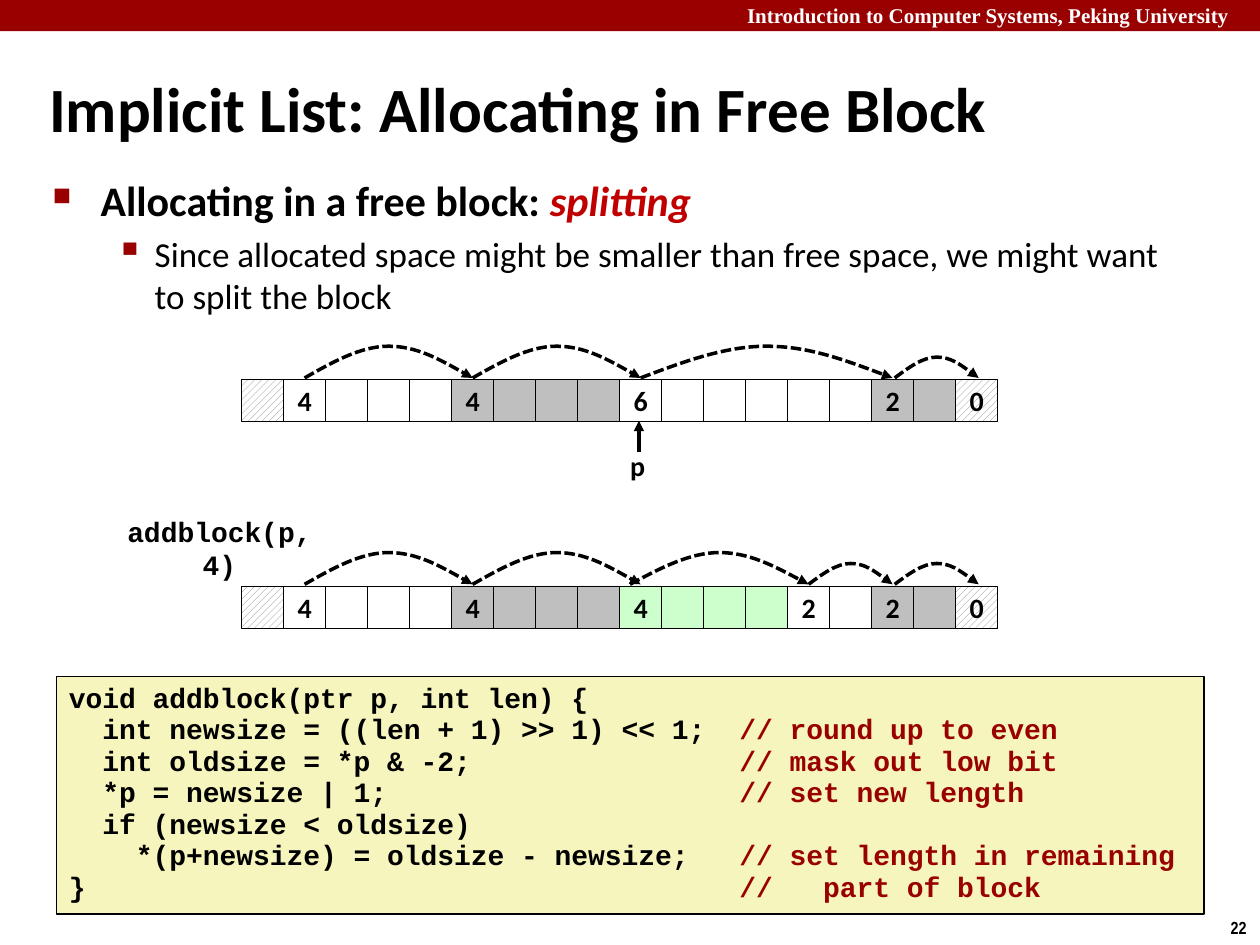
from dataclasses import dataclass

from lxml.etree import SubElement
from pptx import Presentation
from pptx.dml.color import RGBColor as Rgb
from pptx.enum.dml import MSO_LINE as Dash, MSO_PATTERN as Pattern
from pptx.enum.shapes import MSO_CONNECTOR as Connector, MSO_SHAPE as Preset
from pptx.enum.text import MSO_ANCHOR as Anchor, PP_ALIGN as Align
from pptx.oxml.ns import qn
from pptx.util import Cm, Pt


@dataclass(frozen=True)
class Theme:
    black: str = "000000"
    white: str = "FFFFFF"
    crimson: str = "990000"
    emphasis: str = "C00000"
    allocated: str = "BFBFBF"
    added: str = "CCFFCC"
    hatch: str = "808080"
    code_back: str = "F6F5BD"
    body: str = "Calibri"
    mono: str = "Courier New"
    header: str = "Times New Roman"
    number: str = "Arial Narrow"
    title_size: int = 36
    topic_size: int = 24
    detail_size: int = 20
    label_size: int = 16
    header_size: int = 12
    number_size: int = 10


@dataclass(frozen=True)
class Block:
    size: int
    fill: str
    label: str = ""
    hatched: bool = False


@dataclass(frozen=True)
class Hop:
    start: float
    end: float


@dataclass(frozen=True)
class Heap:
    top: float
    blocks: tuple[Block, ...]
    hops: tuple[Hop, ...]


THEME = Theme()
CELL = 2.54 / 3
HEAP_LEFT = 4.87
COMMENT_COLUMN = 40

PROLOGUE = Block(1, THEME.white, hatched=True)
EPILOGUE = Block(1, THEME.white, "0", hatched=True)
FREE_4 = Block(4, THEME.white, "4")
USED_4 = Block(4, THEME.allocated, "4")
USED_2 = Block(2, THEME.allocated, "2")
SHARED_HOPS = (Hop(1.5, 5.5), Hop(5.5, 9.5), Hop(15.55, 17.55))

HEAPS = (
    Heap(7.65,
         (PROLOGUE, FREE_4, USED_4, Block(6, THEME.white, "6"), USED_2, EPILOGUE),
         (*SHARED_HOPS, Hop(9.5, 15.5))),
    Heap(11.81,
         (PROLOGUE, FREE_4, USED_4, Block(4, THEME.added, "4"),
          Block(2, THEME.white, "2"), USED_2, EPILOGUE),
         (*SHARED_HOPS, Hop(9.25, 13.5), Hop(13.5, 15.5))),
)

CODE = (
    ("void addblock(ptr p, int len) {", ""),
    ("  int newsize = ((len + 1) >> 1) << 1;", "// round up to even"),
    ("  int oldsize = *p & -2;", "// mask out low bit"),
    ("  *p = newsize | 1;", "// set new length"),
    ("  if (newsize < oldsize)", ""),
    ("    *(p+newsize) = oldsize - newsize;", "// set length in remaining"),
    ("}", "//   part of block"),
)


def style(run, size: int, font: str = THEME.body, color: str = THEME.black,
          bold: bool = True, italic: bool = False) -> None:
    run.font.size, run.font.name = Pt(size), font
    run.font.bold, run.font.italic = bold, italic
    run.font.color.rgb = Rgb.from_string(color)


def add_rect(shapes, left: float, top: float, width: float, height: float,
             fill: str, border: float = 0):
    rect = shapes.add_shape(Preset.RECTANGLE, Cm(left), Cm(top), Cm(width), Cm(height))
    rect.shadow.inherit = False
    rect.fill.solid()
    rect.fill.fore_color.rgb = Rgb.from_string(fill)
    if border:
        rect.line.color.rgb = Rgb.from_string(THEME.black)
        rect.line.width = Pt(border)
    else:
        rect.line.fill.background()
    return rect


def add_label(shapes, text: str, left: float, top: float, width: float, height: float,
              size: int, font: str = THEME.body, color: str = THEME.black,
              align: Align = Align.LEFT, anchor: Anchor = Anchor.TOP) -> None:
    frame = shapes.add_textbox(Cm(left), Cm(top), Cm(width), Cm(height)).text_frame
    frame.text = text
    frame.word_wrap = align == Align.LEFT
    frame.vertical_anchor = anchor
    frame.paragraphs[0].alignment = align
    style(frame.paragraphs[0].runs[0], size, font, color)


def add_cell(shapes, index: int, top: float, block: Block, label: str) -> None:
    cell = add_rect(shapes, HEAP_LEFT + index * CELL, top, CELL, CELL, block.fill, 0.25)
    if block.hatched:
        cell.fill.patterned()
        cell.fill.pattern = Pattern.WIDE_UPWARD_DIAGONAL
        cell.fill.fore_color.rgb = Rgb.from_string(THEME.hatch)
        cell.fill.back_color.rgb = Rgb.from_string(block.fill)
    if label:
        frame = cell.text_frame
        frame.text = label
        frame.word_wrap = False
        frame.vertical_anchor = Anchor.MIDDLE
        frame.paragraphs[0].alignment = Align.CENTER
        style(frame.paragraphs[0].runs[0], THEME.label_size)


def point_arrow(stroke) -> None:
    stroke.line.color.rgb = Rgb.from_string(THEME.black)
    stroke.line.width = Pt(2)
    SubElement(stroke.element.xpath(".//a:ln")[0], qn("a:tailEnd"), type="triangle")


def add_hop(shapes, hop: Hop, base: float) -> None:
    span = (hop.end - hop.start) * CELL
    left = HEAP_LEFT + hop.start * CELL
    rise = 0.42 if hop.end - hop.start < 3 else 0.64
    controls = [(Cm(left + span * step / 6), Cm(base - rise * lift))
                for step, lift in enumerate((0, 0.5, 1, 1, 1, 0.5, 0))]
    builder = shapes.build_freeform(*controls[0])
    builder.add_line_segments(controls[1:], close=False)
    arc = builder.convert_to_shape()
    outline = arc.element.xpath(".//a:path")[0]
    segments = outline.findall(qn("a:lnTo"))
    for half in (segments[:3], segments[3:]):
        curve = SubElement(outline, qn("a:cubicBezTo"))
        for segment in half:
            curve.append(segment[0])
            outline.remove(segment)
    arc.shadow.inherit = False
    arc.fill.background()
    arc.line.dash_style = Dash.SQUARE_DOT
    point_arrow(arc)


def add_heap(shapes, heap: Heap) -> None:
    index = 0
    for block in heap.blocks:
        for offset in range(block.size):
            add_cell(shapes, index + offset, heap.top, block, "" if offset else block.label)
        index += block.size
    for hop in heap.hops:
        add_hop(shapes, hop, heap.top - 0.03)


def add_bullet(paragraph, mark: str, percent: int, margin: float, hanging: float) -> None:
    props = paragraph._p.get_or_add_pPr()
    props.set("marL", str(Cm(margin)))
    props.set("indent", str(-Cm(hanging)))
    SubElement(SubElement(props, qn("a:buClr")), qn("a:srgbClr"), val=THEME.crimson)
    SubElement(props, qn("a:buSzPct"), val=str(percent * 1000))
    SubElement(props, qn("a:buChar"), char=mark)


def add_points(shapes) -> None:
    frame = shapes.add_textbox(Cm(0.81), Cm(3.4), Cm(23.09), Cm(14.5)).text_frame
    frame.word_wrap = True
    topic, detail = frame.paragraphs[0], frame.add_paragraph()
    topic.text = "Allocating in a free block: "
    detail.text = ("Since allocated space might be smaller than free space, "
                   "we might want to split the block")
    detail.level = 1
    detail.space_before = Pt(4)
    add_bullet(topic, "■", 60, 0.97, 0.97)
    add_bullet(detail, "▪", 110, 2.06, 0.79)
    style(topic.runs[0], THEME.topic_size)
    term = topic.add_run()
    term.text = "splitting"
    style(term, THEME.topic_size, color=THEME.emphasis, italic=True)
    style(detail.runs[0], THEME.detail_size, bold=False)


def add_code(shapes) -> None:
    frame = add_rect(shapes, 1.14, 13.64, 23.14, 4.78, THEME.code_back, 1).text_frame
    frame.text = "\n".join(code.ljust(COMMENT_COLUMN) if note else code for code, note in CODE)
    frame.word_wrap = True
    frame.vertical_anchor = Anchor.TOP
    for paragraph, (_, note) in zip(frame.paragraphs, CODE):
        paragraph.alignment = Align.LEFT
        paragraph.line_spacing = 0.94
        style(paragraph.runs[0], THEME.label_size, THEME.mono)
        if note:
            comment = paragraph.add_run()
            comment.text = note
            style(comment, THEME.label_size, THEME.mono, THEME.crimson)


def add_pointer(shapes) -> None:
    pointer = shapes.add_connector(Connector.STRAIGHT, Cm(12.88), Cm(9.12), Cm(12.88), Cm(8.48))
    point_arrow(pointer)
    SubElement(pointer.element.spPr, qn("a:effectLst"))
    add_label(shapes, "p", 12.45, 8.92, 0.81, 0.94, THEME.label_size, align=Align.CENTER)


def main() -> None:
    """Build the slide on splitting a free block and save it."""
    deck = Presentation()
    deck.slide_width, deck.slide_height = Cm(25.4), Cm(19.05)
    shapes = deck.slides.add_slide(deck.slide_layouts[6]).shapes
    add_rect(shapes, 0, 0, 25.4, 0.63, THEME.crimson)
    add_label(shapes, "Introduction to Computer Systems, Peking University",
              14.81, -0.08, 10.77, 0.76, THEME.header_size, THEME.header, THEME.white)
    add_label(shapes, "22", 24.54, 18.36, 0.86, 0.69, THEME.number_size, THEME.number,
              align=Align.CENTER)
    add_label(shapes, "Implicit List: Allocating in Free Block", 0.74, 1.37, 23.93, 1.6,
              THEME.title_size, anchor=Anchor.MIDDLE)
    add_points(shapes)
    add_code(shapes)
    for heap in HEAPS:
        add_heap(shapes, heap)
    add_pointer(shapes)
    add_label(shapes, "addblock(p, 4)", 1.9, 10.24, 5.05, 0.84, THEME.label_size, THEME.mono,
              align=Align.CENTER)
    deck.save("out.pptx")


if __name__ == "__main__":
    main()
